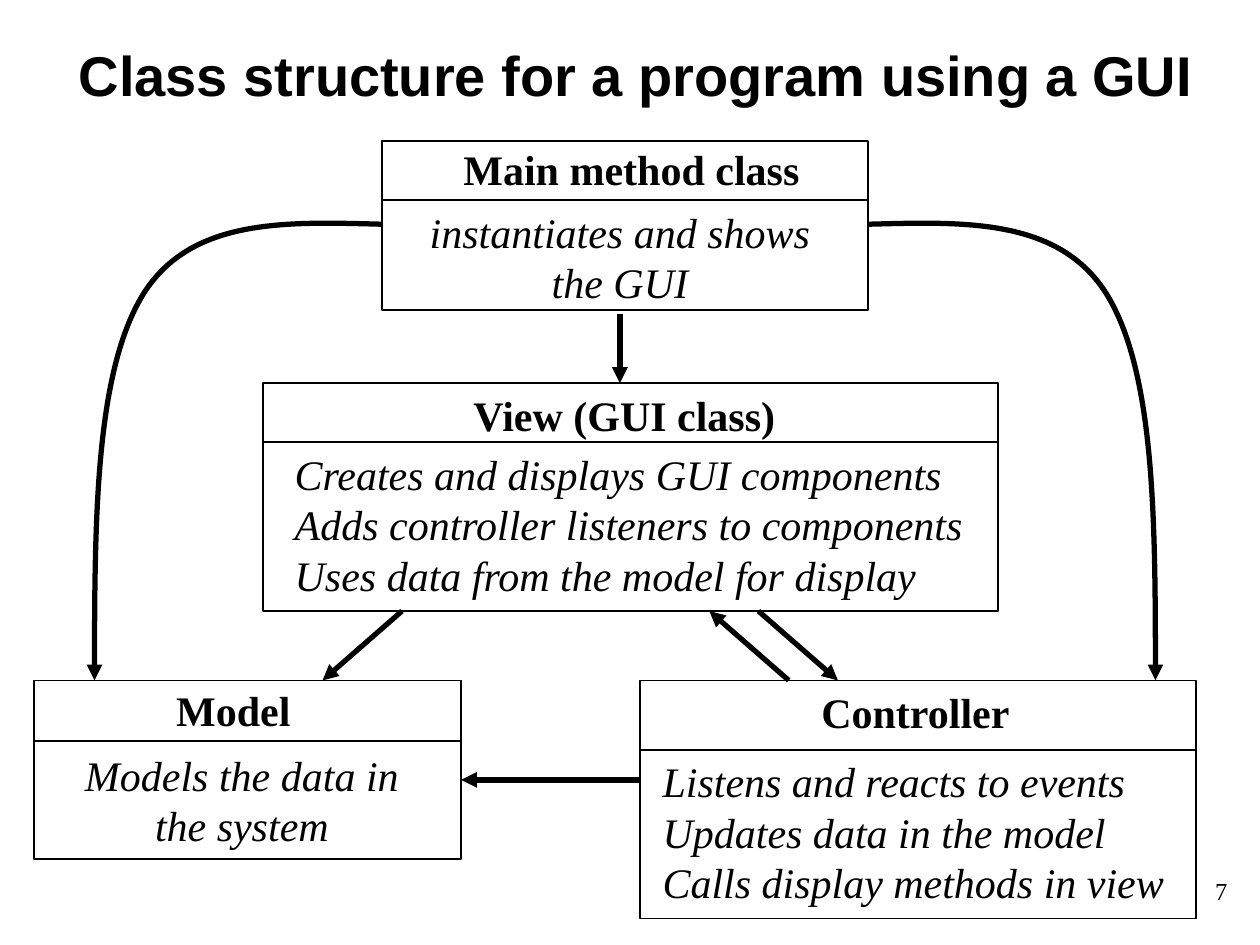
from lxml import etree
from pptx import Presentation
from pptx.dml.color import RGBColor
from pptx.enum.shapes import MSO_CONNECTOR, MSO_SHAPE
from pptx.enum.text import MSO_ANCHOR, MSO_AUTO_SIZE, PP_ALIGN
from pptx.oxml.ns import qn
from pptx.util import Inches, Pt

STRAIGHT = MSO_CONNECTOR.STRAIGHT
RECTANGLE = MSO_SHAPE.RECTANGLE
TOP, MIDDLE = MSO_ANCHOR.TOP, MSO_ANCHOR.MIDDLE
GROW, FIXED = MSO_AUTO_SIZE.SHAPE_TO_FIT_TEXT, MSO_AUTO_SIZE.NONE
LEFT, CENTER, RIGHT = PP_ALIGN.LEFT, PP_ALIGN.CENTER, PP_ALIGN.RIGHT

COLORS = {"ink": "000000", "paper": "FFFFFF"}
SANS, SERIF = "Arial", "Times New Roman"
WIDTH, HEIGHT = Inches(10), Inches(7.5)
COLUMNS, ROWS = 100, 75
THIN, THICK = 1, 3
TEXT_PAD, LINE_ROWS = 1, 4

CLASSES = [
    dict(box=(30.3, 11.2, 38.6, 13.4), divider=4.7,
         heading="Main method class", heading_at=(5.5, -0.3, 30.7),
         duties=["instantiates and shows", "the GUI"],
         duties_at=(0.8, 4.7, 36.2), align=CENTER),
    dict(box=(20.9, 30.4, 58.3, 18.1), divider=4.7,
         heading="View (GUI class)", heading_at=(15.7, 0, 27),
         duties=["Creates and displays GUI components",
                 "Adds controller listeners to components",
                 "Uses data from the model for display"],
         duties_at=(1.5, 4.7, 55.9), align=LEFT),
    dict(box=(2.7, 54, 33.9, 14.2), divider=4.8,
         heading="Model", heading_at=(10.3, -0.2, 12),
         duties=["Models the data in", "the system"],
         duties_at=(3, 5, 27), align=CENTER),
    dict(box=(50.8, 54, 44.1, 18.9), divider=5.5,
         heading="Controller", heading_at=(13.4, 0, 18),
         duties=["Listens and reacts to events",
                 "Updates data in the model",
                 "Calls display methods in view"],
         duties_at=(0.8, 5.5, 42.5), align=LEFT),
]
ARROWS = [
    ((49.2, 24.9), (49.2, 30.4)),
    ((31.9, 48.5), (25.6, 54)),
    ((60.2, 48.5), (66.5, 54)),
    ((62.6, 54), (56.3, 48.5)),
    ((50.8, 61.9), (36.6, 61.9)),
]
SWEEP = [(7.6, -0.2), (15.1, -0.5), (18.9, 5.5),
         (22.7, 11.6), (22.8, 23.9), (22.8, 36.2)]


def emu(col, row):
    return round(col * WIDTH / COLUMNS), round(row * HEIGHT / ROWS)


def ink_line(shape, weight, arrow=False):
    shape.line.color.rgb = RGBColor.from_string(COLORS["ink"])
    shape.line.width = Pt(weight)
    if arrow:
        outline = shape._element.spPr.find(qn("a:ln"))
        etree.SubElement(outline, qn("a:tailEnd"), type="triangle")


def add_text(slide, box, lines, size, font=SERIF, bold=False, italic=False,
             align=LEFT, anchor=TOP, fit=GROW):
    frame = slide.shapes.add_textbox(*emu(*box[:2]), *emu(*box[2:])).text_frame
    frame.word_wrap, frame.auto_size = True, fit
    frame.vertical_anchor = anchor
    for index, line in enumerate(lines):
        paragraph = frame.add_paragraph() if index else frame.paragraphs[0]
        paragraph.alignment = align
        run = paragraph.add_run()
        run.text = line
        run.font.name, run.font.size = font, Pt(size)
        run.font.bold, run.font.italic = bold, italic
        run.font.color.rgb = RGBColor.from_string(COLORS["ink"])


def add_line(slide, start, end, weight, arrow=False):
    connector = slide.shapes.add_connector(STRAIGHT, *emu(*start), *emu(*end))
    ink_line(connector, weight, arrow)
    etree.SubElement(connector._element.spPr, qn("a:effectLst"))


def add_class(slide, box, divider, heading, heading_at,
              duties, duties_at, align):
    left, top, width, height = box
    border = slide.shapes.add_shape(RECTANGLE, *emu(left, top),
                                    *emu(width, height))
    border.shadow.inherit = False
    border.fill.background()
    ink_line(border, THIN)
    add_line(slide, (left, top + divider), (left + width, top + divider), THIN)

    def write(lines, place, **style):
        dx, dy, text_width = place
        text_height = TEXT_PAD + LINE_ROWS * len(lines)
        add_text(slide, (left + dx, top + dy, text_width, text_height),
                 lines, 24, **style)

    write([heading], heading_at, bold=True)
    write(duties, duties_at, italic=True, align=align)


def add_sweep(slide, box, direction):
    left, top, width, _ = box
    x, y = left + (width if direction > 0 else 0), top + 6.6
    builder = slide.shapes.build_freeform(*emu(x, y))
    builder.add_line_segments(
        [emu(x + direction * dx, y + dy) for dx, dy in SWEEP], close=False)
    curve = builder.convert_to_shape()
    curve.shadow.inherit = False
    curve.fill.background()
    ink_line(curve, THICK, arrow=True)
    outline = next(curve._element.iter(qn("a:path")))
    segments = outline.findall(qn("a:lnTo"))
    for first in range(0, len(segments), 3):
        bezier = etree.SubElement(outline, qn("a:cubicBezTo"))
        for segment in segments[first:first + 3]:
            bezier.append(segment[0])
            outline.remove(segment)


def add_class_diagram(slide):
    for parts in CLASSES:
        add_class(slide, **parts)
    for start, end in ARROWS:
        add_line(slide, start, end, THICK, arrow=True)
    for direction in (-1, 1):
        add_sweep(slide, CLASSES[0]["box"], direction)


def main():
    deck = Presentation()
    deck.slide_width, deck.slide_height = WIDTH, HEIGHT
    slide = deck.slides.add_slide(deck.slide_layouts[6])
    slide.background.fill.solid()
    slide.background.fill.fore_color.rgb = RGBColor.from_string(COLORS["paper"])
    add_text(slide, (77.6, 68.2, 20.8, 5), ["7"], 14,
             align=RIGHT, anchor=MIDDLE, fit=FIXED)
    add_text(slide, (5.1, 2.5, 90.8, 6.7),
             ["Class structure for a program using a GUI"], 32, font=SANS,
             bold=True, align=CENTER, anchor=MIDDLE, fit=FIXED)
    add_class_diagram(slide)
    deck.save("out.pptx")


if __name__ == "__main__":
    main()
